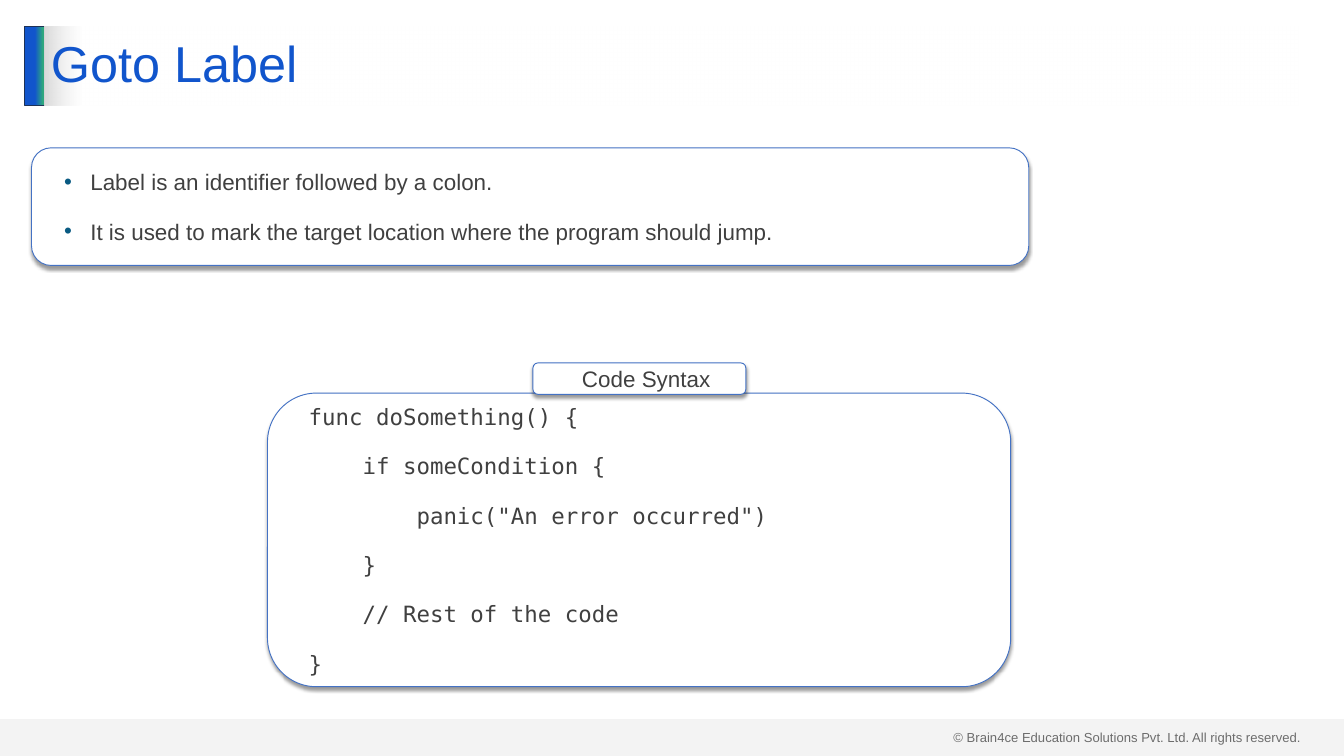
from lxml import etree
from pptx import Presentation
from pptx import util as u
from pptx.dml import color as col
from pptx.enum import shapes as sh, text as tx
from pptx.oxml import ns

KIND = sh.MSO_SHAPE
BLUE, DARK, EDGE = "1155CC", "404040", "4472C4"
CODE = """func doSomething() {
    if someCondition {
        panic("An error occurred")
    }
    // Rest of the code
}"""
NOTES = """Label is an identifier followed by a colon.
It is used to mark the target location where the program should jump."""


def rgb(code):
    """Turn a hex string into a colour."""
    return col.RGBColor.from_string(code)


def node(up, tag, **attrs):
    """Append a drawing element with attributes."""
    item = etree.SubElement(up, ns.qn("a:" + tag))
    for key, val in attrs.items():
        item.set(key, str(val))
    return item


def tint(up, code, alpha=100):
    """Append a colour with its opacity in percent."""
    item = node(up, "srgbClr", val=code)
    if alpha < 100:
        node(item, "alpha", val=alpha * 1000)


def rect(slide, box, fill=None, line=None, kind=KIND.RECTANGLE, alpha=100):
    """Draw a flat shape at left, top, width, height in points."""
    shape = slide.shapes.add_shape(kind, *[u.Pt(n) for n in box])
    shape.shadow.inherit = False
    if fill:
        shape.fill.solid()
        shape.fill.fore_color.rgb = rgb(fill)
        if alpha < 100:
            clr = shape.fill._xPr.find(".//" + ns.qn("a:srgbClr"))
            node(clr, "alpha", val=alpha * 1000)
    if line:
        shape.line.color.rgb = rgb(line)
        shape.line.width = u.Pt(1)
    else:
        shape.line.fill.background()
    return shape


def blend(shape, stops):
    """Fill a shape with a left-to-right gradient."""
    shape.fill.gradient()
    shape.fill.gradient_angle = 0
    stack = shape.fill._xPr.find(".//" + ns.qn("a:gsLst"))
    for old in list(stack):
        stack.remove(old)
    for pos, code, alpha in stops:
        tint(node(stack, "gs", pos=pos * 1000), code, alpha)


def card(slide, box):
    """Draw a white rounded card with a soft shadow below."""
    shape = rect(slide, box, "FFFFFF", EDGE, KIND.ROUNDED_RECTANGLE)
    glow = shape._element.spPr.find(ns.qn("a:effectLst"))
    drop = node(glow, "outerShdw", blurRad=u.Pt(4), dist=u.Pt(3),
                dir=5400000, algn="t", rotWithShape=0)
    tint(drop, "000000", 40)
    return shape


def write(shape, words, size=24, font="Arial", color=DARK, align="LEFT",
          pad=(14.4, 7.2), left=0, hang=0, gap=0, lead=None, dot=None,
          wrap=True, anchor="MIDDLE"):
    """Fill a shape with one formatted paragraph per line of words."""
    frame = shape.text_frame
    frame.word_wrap = wrap
    frame.vertical_anchor = getattr(tx.MSO_ANCHOR, anchor)
    frame.margin_left = frame.margin_right = u.Pt(pad[0])
    frame.margin_top = frame.margin_bottom = u.Pt(pad[1])
    for i, line in enumerate(words.split("\n")):
        para = frame.add_paragraph() if i else frame.paragraphs[0]
        props = para._p.get_or_add_pPr()
        props.set("marL", str(u.Pt(left)))
        props.set("indent", str(u.Pt(-hang)))
        if dot:
            tint(node(props, "buClr"), dot)
            node(props, "buFont", typeface="Arial")
            node(props, "buChar", char="•")
        para.alignment = getattr(tx.PP_ALIGN, align)
        para.space_before = u.Pt(gap if i else 0)
        para.space_after = u.Pt(gap)
        if lead:
            para.line_spacing = lead
        run = para.add_run()
        run.text = line
        run.font.size = u.Pt(size)
        run.font.name = font
        run.font.color.rgb = rgb(color)


def foot(slide):
    """Draw the copyright line and the pale band over it."""
    box = slide.shapes.add_textbox(*[u.Pt(n) for n in (1014.5, 777.6, 389.5, 24.5)])
    write(box, "© Brain4ce Education Solutions Pvt. Ltd. All rights reserved.",
          size=14, pad=(7.2, 3.6), wrap=False, anchor="TOP")
    rect(slide, (0, 770.4, 1440, 39.6), "D9D9D9", alpha=29)


def head(slide):
    """Draw the accent bar and the title."""
    bar = rect(slide, (26.6, 28, 21.6, 85), line="1E3256")
    blend(bar, [(51, BLUE, 100), (90, "2EA87D", 100), (100, "2EA87D", 100)])
    title = rect(slide, (47.5, 28, 1344, 85))
    blend(title, [(0, "D9D9D9", 100), (3, "FFFFFF", 50), (100, "FFFFFF", 50)])
    write(title, "Goto Label", size=54, color=BLUE, pad=(7.2, 3.6), lead=0.9)


def main():
    """Build the slide and save it."""
    deck = Presentation()
    deck.slide_width, deck.slide_height = u.Pt(1440), u.Pt(810)
    slide = deck.slides.add_slide(deck.slide_layouts[6])
    foot(slide)
    head(slide)
    write(card(slide, (33.8, 158.4, 1068.5, 126)), NOTES,
          left=42.5, hang=28, gap=12, dot="095A82")
    write(card(slide, (286.6, 421.2, 796.3, 314.6)), CODE,
          font="DejaVu Sans Mono", left=14.4, gap=12)
    write(card(slide, (571, 388.8, 228.2, 33.8)), "Code Syntax",
          align="CENTER", left=14.4, gap=12)
    deck.save("out.pptx")


if __name__ == "__main__":
    main()
